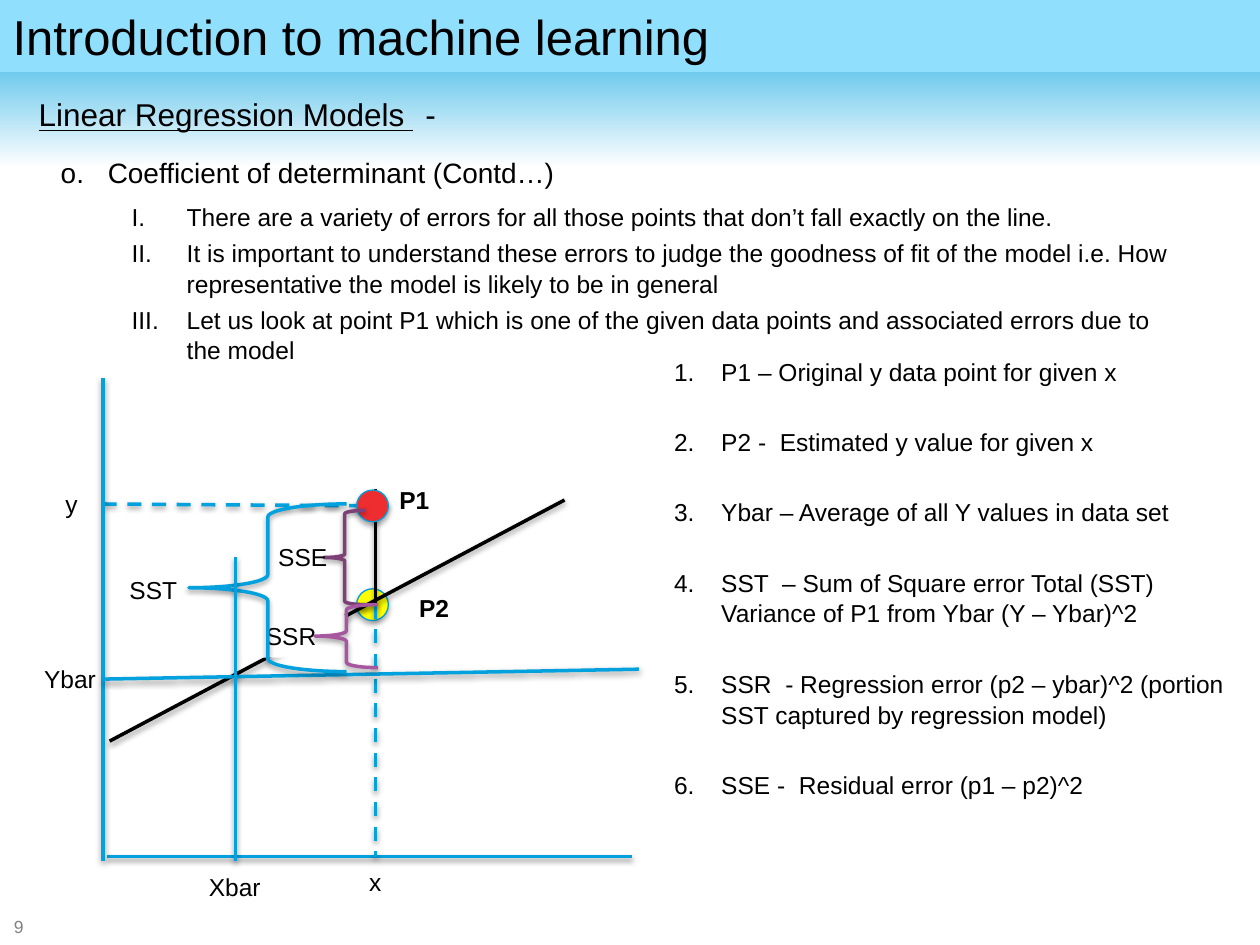
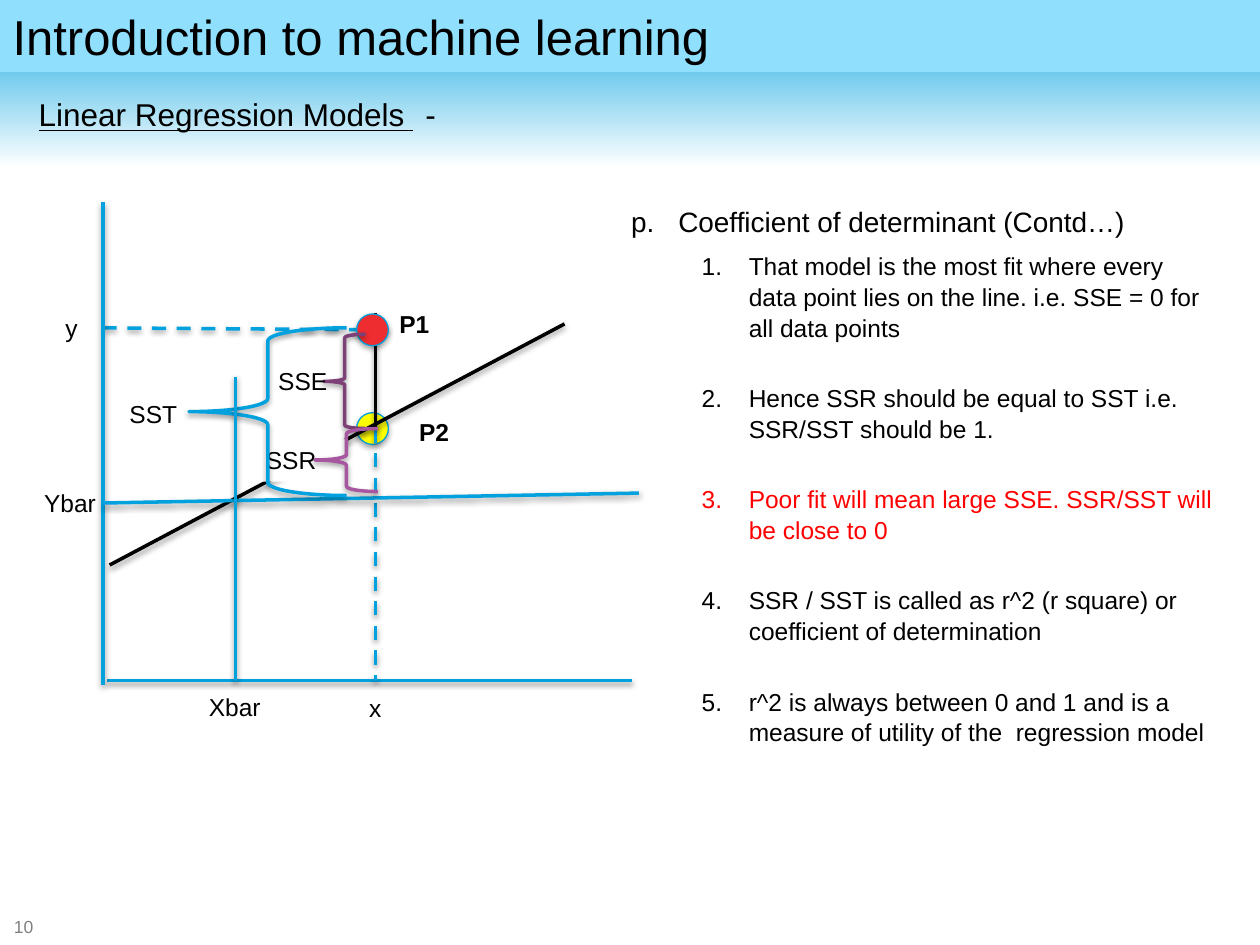
from dataclasses import dataclass

from lxml.etree import SubElement
from pptx import Presentation
from pptx.dml.color import RGBColor
from pptx.enum.dml import MSO_LINE
from pptx.enum.shapes import MSO_CONNECTOR, MSO_SHAPE
from pptx.enum.text import MSO_ANCHOR, MSO_AUTO_SIZE, PP_ALIGN
from pptx.oxml.ns import qn
from pptx.util import Cm, Pt


@dataclass(frozen=True)
class Theme:
    font: str = "Arial"
    black: str = "000000"
    white: str = "FFFFFF"
    grey: str = "808080"
    band: str = "8FDFFD"
    blue: str = "03A2DF"
    dot_line: str = "00A0DD"
    red: str = "FF0000"
    actual: str = "EE2D30"
    estimate: str = "FFFF00"
    sse: str = "7D4178"
    ssr: str = "A757A0"
    title_size: float = 28
    subtitle_size: float = 18
    heading_size: float = 16
    text_size: float = 14
    number_size: float = 10
    line_spacing: float = 1.05
    item_gap: float = 2.8
    wide_gap: float = 22.5  # one empty line between items


THEME = Theme()


def rgb(color):
    return RGBColor.from_string(color)


def add_text(p, text, size=THEME.text_size, color=THEME.black, bold=False,
             underline=False, align=PP_ALIGN.LEFT):
    p.alignment = align
    r = p.add_run()
    r.text = text
    r.font.name = THEME.font
    r.font.size = Pt(size)
    r.font.bold = bold
    r.font.underline = underline
    r.font.color.rgb = rgb(color)


def number_paragraph(p, scheme, left, hang, start=1):
    """Give a paragraph automatic numbering and a hanging indent in cm."""
    pPr = p._p.get_or_add_pPr()
    pPr.set("marL", str(Cm(left)))
    pPr.set("indent", str(-Cm(hang)))
    SubElement(pPr, qn("a:buFont"), typeface="+mj-lt")
    SubElement(pPr, qn("a:buAutoNum"), type=scheme, startAt=str(start))


def drop_shadow(sp, alpha=38, dist=20000):
    effects = SubElement(sp.element.spPr, qn("a:effectLst"))
    shadow = SubElement(effects, qn("a:outerShdw"), blurRad="40000",
                        dist=str(dist), dir="5400000", rotWithShape="0")
    color = SubElement(shadow, qn("a:srgbClr"), val=THEME.black)
    SubElement(color, qn("a:alpha"), val=str(alpha * 1000))


class Deck:
    def __init__(self, theme):
        self.theme = theme
        self.prs = Presentation()
        self.prs.slide_width, self.prs.slide_height = Cm(25.4), Cm(19.05)
        self.s = None

    def new_slide(self, number):
        t = self.theme
        self.s = self.prs.slides.add_slide(self.prs.slide_layouts[1])
        self.backdrop()
        self.title("Introduction to machine learning")
        tf = self.text_box(0.53, 1.8, 23.4, 1.14)
        p = tf.paragraphs[0]
        add_text(p, "Linear Regression Models ", size=t.subtitle_size, underline=True)
        add_text(p, "\t -", size=t.subtitle_size)
        tf = self.text_box(0.03, 18.47, 1, 0.4)
        tf.vertical_anchor = MSO_ANCHOR.MIDDLE
        tf.margin_top = tf.margin_bottom = 0
        add_text(tf.paragraphs[0], str(number), size=t.number_size, color=t.grey)

    def backdrop(self):
        """Add the fading header and send it behind the placeholders."""
        sp = self.shape(MSO_SHAPE.RECTANGLE, 0, 0, 25.4, 3.38)
        sp.shadow.inherit = False
        sp.fill.gradient()
        sp.fill.gradient_angle = 270
        for stop, color, position in zip(sp.fill.gradient_stops,
                                         (self.theme.blue, self.theme.white), (0, 1)):
            stop.color.rgb = rgb(color)
            stop.position = position
        self.s.shapes.element.insert(2, sp.element)

    def place(self, sp, x, y, w, h):
        sp.left, sp.top, sp.width, sp.height = Cm(x), Cm(y), Cm(w), Cm(h)

    def title(self, text):
        sp = self.s.shapes.title
        self.place(sp, 0, 0, 25.4, 1.45)
        sp.fill.solid()
        sp.fill.fore_color.rgb = rgb(self.theme.band)
        tf = sp.text_frame
        tf.auto_size = MSO_AUTO_SIZE.NONE
        tf.vertical_anchor = MSO_ANCHOR.MIDDLE
        add_text(tf.paragraphs[0], text, size=self.theme.title_size)

    def body(self, x, y, w, h):
        sp = self.s.placeholders[1]
        self.place(sp, x, y, w, h)
        sp.text_frame.auto_size = MSO_AUTO_SIZE.NONE
        return sp.text_frame

    def text_box(self, x, y, w, h):
        tf = self.s.shapes.add_textbox(Cm(x), Cm(y), Cm(w), Cm(h)).text_frame
        tf.word_wrap = True
        return tf

    def heading(self, tf, text, start):
        p = tf.paragraphs[0]
        p.line_spacing = self.theme.line_spacing
        p.space_before, p.space_after = Pt(3.2), Pt(4)
        number_paragraph(p, "alphaLcPeriod", 0.95, 0.95, start)
        add_text(p, text, size=self.theme.heading_size)

    def numbered(self, tf, items, scheme="arabicPeriod", left=0.95, hang=0.95,
                 gap=THEME.wide_gap, level=0, highlight=None):
        for i, item in enumerate(items):
            p = tf.add_paragraph() if tf.text else tf.paragraphs[0]
            p.level = level
            p.line_spacing = self.theme.line_spacing
            p.space_before = Pt(gap if i else self.theme.item_gap)
            p.space_after = Pt(0)
            number_paragraph(p, scheme, left, hang)
            add_text(p, item, color=self.theme.red if i == highlight else self.theme.black)

    def shape(self, kind, x, y, w, h, fill=None, line=None, weight=2):
        sp = self.s.shapes.add_shape(kind, Cm(x), Cm(y), Cm(w), Cm(h))
        if fill:
            sp.fill.solid()
            sp.fill.fore_color.rgb = rgb(fill)
        else:
            sp.fill.background()
        if line:
            sp.line.color.rgb = rgb(line)
            sp.line.width = Pt(weight)
        else:
            sp.line.fill.background()
        return sp

    def dot(self, x, y, color):
        d = 0.64
        sp = self.shape(MSO_SHAPE.OVAL, x - d / 2, y - d / 2, d, d, fill=color,
                        line=self.theme.dot_line, weight=0.75)
        drop_shadow(sp, alpha=35, dist=23000)

    def brace(self, x, y, w, h, color):
        drop_shadow(self.shape(MSO_SHAPE.LEFT_BRACE, x, y, w, h, line=color))

    def line(self, x1, y1, x2, y2, color=THEME.blue, dashed=False):
        c = self.s.shapes.add_connector(MSO_CONNECTOR.STRAIGHT,
                                        Cm(x1), Cm(y1), Cm(x2), Cm(y2))
        c.line.color.rgb = rgb(color)
        c.line.width = Pt(2)
        if dashed:
            c.line.dash_style = MSO_LINE.DASH
        drop_shadow(c)

    def label(self, text, x, y, w, bold=False):
        add_text(self.text_box(x, y, w, 0.86).paragraphs[0], text, bold=bold)

    def masked_label(self, text, x, y, w):
        """Add a label whose white box hides the line behind it."""
        sp = self.shape(MSO_SHAPE.RECTANGLE, x, y, w, 0.86, fill=self.theme.white)
        sp.shadow.inherit = False
        sp.text_frame.vertical_anchor = MSO_ANCHOR.TOP
        add_text(sp.text_frame.paragraphs[0], text)


def regression_diagram(deck, top, xbar_foot, x_gap):
    """Draw the error diagram; xbar_foot and x_gap are offsets below the x axis."""
    t = deck.theme
    x_axis, y_axis, x_data = top + 9.65, 2.08, 7.57
    p1, p2, ybar = top + 2.58, top + 4.57, top + 6.07
    xbar_end = x_axis + xbar_foot

    deck.dot(7.51, p2, t.estimate)
    deck.line(7.82, p1, 2.11, top + 2.54, dashed=True)
    deck.line(2.21, top + 7.32, 11.38, top + 2.46, color=t.black)
    deck.line(2.16, x_axis, 12.75, x_axis)
    deck.line(y_axis, x_axis + 0.08, y_axis, top)
    deck.line(x_data, p2, x_data, x_axis, dashed=True)
    deck.line(x_data, p2, x_data, top + 2.24, color=t.black)
    deck.dot(7.51, p1, t.actual)
    deck.brace(6.53, top + 2.67, 0.84, 1.9, t.sse)
    deck.masked_label("SSR", 5.11, top + 4.78, 1.9)
    deck.line(y_axis, ybar, 12.88, ybar - 0.2)
    for text, x, y, w, bold in (
        ("SSE", 5.36, top + 3.18, 1.65, False),
        ("P1", 7.8, top + 2.03, 1.73, True),
        ("P2", 8.2, top + 4.22, 1.73, True),
        ("Ybar", 0.64, top + 5.64, 2.11, False),
        ("SST", 2.36, top + 3.84, 1.47, False),
        ("y", 1.07, top + 2.11, 0.84, False),
        ("x", 7.19, x_axis + x_gap, 0.84, False),
        ("Xbar", 3.96, xbar_end + 0.1, 2.11, False),
    ):
        deck.label(text, x, y, w, bold)
    deck.brace(6.35, p2, 1.27, 1.27, t.ssr)
    deck.brace(3.81, top + 2.54, 3.18, 3.38, t.blue)
    deck.line(4.75, xbar_end, 4.75, xbar_end - 6.13)


def errors_slide(deck):
    deck.new_slide(9)
    tf = deck.body(0.97, 2.97, 22.86, 4.47)
    deck.heading(tf, "Coefficient of determinant (Contd…)", start=15)
    deck.numbered(tf, (
        "There are a variety of errors for all those points that don’t fall exactly on the line.",
        "It is important to understand these errors to judge the goodness of fit of the model "
        "i.e. How representative the model is likely to be in general",
        "Let us look at point P1 which is one of the given data points and associated errors "
        "due to the model",
    ), scheme="romanUcPeriod", left=2.54, hang=1.11, gap=deck.theme.item_gap, level=1)
    deck.numbered(deck.text_box(13.34, 7.04, 11.71, 10.06), (
        "P1 – Original y data point for given x",
        "P2 -  Estimated y value for given x",
        "Ybar – Average of all Y values in data set",
        "SST  – Sum of Square error Total (SST)  Variance of P1 from Ybar (Y – Ybar)^2",
        "SSR  - Regression error (p2 – ybar)^2 (portion SST captured by regression model)",
        "SSE -  Residual error (p1 – p2)^2",
    ))
    regression_diagram(deck, top=7.62, xbar_foot=0.08, x_gap=0.08)


def fit_slide(deck):
    deck.new_slide(10)
    tf = deck.body(12.47, 3.96, 12.29, 11.18)
    deck.heading(tf, "Coefficient of determinant (Contd…)", start=16)
    deck.numbered(tf, (
        "That model is the most fit where every data point lies on the line. i.e. SSE = 0 "
        "for all data points",
        "Hence SSR should be equal to SST i.e. SSR/SST should be 1.",
        "Poor fit will mean large SSE. SSR/SST will be close to 0",
        "SSR / SST is called as r^2 (r square) or coefficient of determination",
        "r^2 is always between 0 and 1 and is a measure of utility of the  regression model",
    ), left=2.37, level=1, highlight=2)
    regression_diagram(deck, top=4.07, xbar_foot=0, x_gap=0.12)


def main():
    deck = Deck(THEME)
    errors_slide(deck)
    fit_slide(deck)
    deck.prs.save("out.pptx")


if __name__ == "__main__":
    main()
